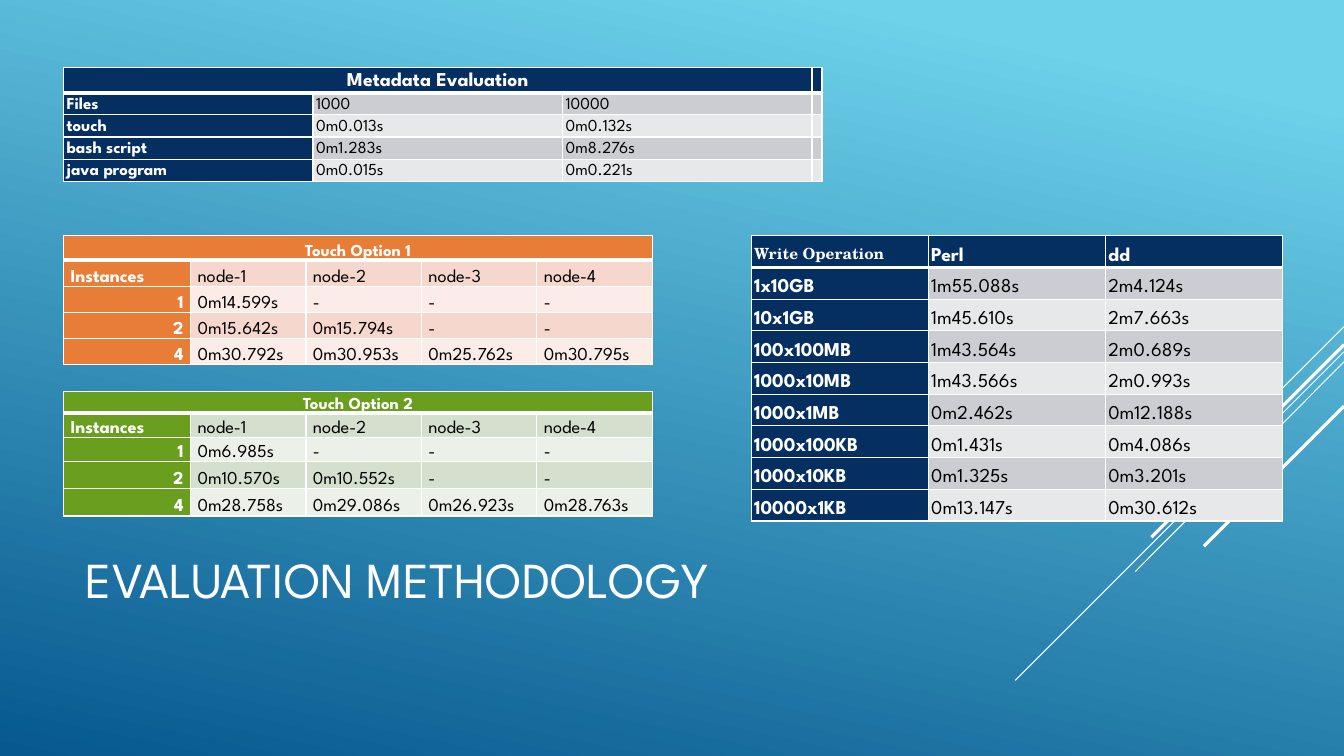
from dataclasses import dataclass

from lxml import etree
from pptx import Presentation
from pptx.dml.color import RGBColor
from pptx.enum.shapes import MSO_CONNECTOR
from pptx.enum.text import MSO_ANCHOR, PP_ALIGN
from pptx.oxml import parse_xml
from pptx.oxml.ns import nsdecls, qn
from pptx.util import Inches, Pt

STRAIGHT = MSO_CONNECTOR.STRAIGHT
MIDDLE, BOTTOM = MSO_ANCHOR.MIDDLE, MSO_ANCHOR.BOTTOM
LEFT, CENTER, RIGHT = PP_ALIGN.LEFT, PP_ALIGN.CENTER, PP_ALIGN.RIGHT


@dataclass(frozen=True)
class Theme:
    font: str = "League Spartan"
    serif: str = "TeX Gyre Schola"
    white: str = "FFFFFF"
    black: str = "000000"
    sky: str = "6ED2EB"
    deep: str = "06588E"
    # accent, odd row, even row
    navy: tuple = ("052F61", "CCCDD2", "E7E8EA")
    orange: tuple = ("E87D37", "F6D7CE", "FBECE8")
    green: tuple = ("6A9E1F", "D4DFCD", "EBF0E8")
    title: float = 36
    large: float = 14
    medium: float = 13
    small: float = 12
    caption: float = 11


THEME = Theme()


def style_cell(cell, fill, top, bottom, insets):
    """Fill a cell, set its margins and draw white borders; top and bottom are in points."""
    cell.vertical_anchor = BOTTOM
    cell.margin_left = cell.margin_right = Inches(insets[0])
    cell.margin_top = cell.margin_bottom = Inches(insets[1])
    properties = cell._tc.get_or_add_tcPr()
    for side, width in (("L", 1), ("R", 1), ("T", top), ("B", bottom)):
        properties.append(parse_xml(
            f'<a:ln{side} {nsdecls("a")} w="{Pt(width)}"><a:solidFill>'
            f'<a:srgbClr val="{THEME.white}"/></a:solidFill></a:ln{side}>'))
    cell.fill.solid()
    cell.fill.fore_color.rgb = RGBColor.from_string(fill)


def set_font(paragraph, size, color, bold=False, name=THEME.font):
    paragraph.font.name = name
    paragraph.font.size = Pt(size)
    paragraph.font.bold = bold
    paragraph.font.color.rgb = RGBColor.from_string(color)


presentation = Presentation()
presentation.slide_width = Inches(13.33)
presentation.slide_height = Inches(7.5)
slide = presentation.slides.add_slide(presentation.slide_layouts[5])

background = slide.background.fill
background.gradient()
background.gradient_angle = 360 - 102
for stop, position, color in zip(background.gradient_stops, (0.1, 1), (THEME.sky, THEME.deep)):
    stop.position = position
    stop.color.rgb = RGBColor.from_string(color)

# Diagonal lines from the right edge: start y, end x, end y, weight
for start_y, end_x, end_y, weight in (
    (3.24, 12.33, 4.24, 0.75),
    (3.49, 10.07, 6.75, 0.75),
    (3.59, 11.26, 5.67, 0.75),
    (3.42, 11.42, 5.33, 2.25),
    (4.03, 11.94, 5.42, 2.25),
):
    line = slide.shapes.add_connector(
        STRAIGHT, Inches(13.33), Inches(start_y), Inches(end_x), Inches(end_y))
    line.line.color.rgb = RGBColor.from_string(THEME.white)
    line.line.width = Pt(weight)
    etree.SubElement(line._element.spPr, qn("a:effectLst"))

title = slide.shapes.title
title.left, title.top, title.width, title.height = map(Inches, (0.75, 4.91, 9.33, 1.65))
title.text_frame.text = "EVALUATION METHODOLOGY"
title.text_frame.vertical_anchor = MIDDLE
title.text_frame.paragraphs[0].alignment = LEFT
set_font(title.text_frame.paragraphs[0], THEME.title, THEME.white)

NARROW, WIDE = (0.03, 0.02), (0.07, 0)
NODES = ("Instances", "node-1", "node-2", "node-3", "node-4")
NODE_COLUMNS = [1.26] + [1.145] * 4

# left, top, columns, rows, palette, insets, header size, body size, merged header columns, cells
tables = (
    (0.63, 0.67, [2.475] * 3 + [0.07], [0.25] + [0.22] * 4, THEME.navy, NARROW,
     THEME.large, THEME.small, 3, (
         ("Metadata Evaluation", "", "", ""),
         ("Files", "1000", "10000", ""),
         ("touch", "0m0.013s", "0m0.132s", ""),
         ("bash script", "0m1.283s", "0m8.276s", ""),
         ("java program", "0m0.015s", "0m0.221s", ""))),
    (0.63, 2.34, NODE_COLUMNS, [0.24] + [0.26] * 4, THEME.orange, WIDE,
     THEME.small, THEME.medium, 5, (
         ("Touch Option 1", "", "", "", ""),
         NODES,
         ("1", "0m14.599s", "-", "-", "-"),
         ("2", "0m15.642s", "0m15.794s", "-", "-"),
         ("4", "0m30.792s", "0m30.953s", "0m25.762s", "0m30.795s"))),
    (0.63, 3.88, NODE_COLUMNS, [0.22, 0.24, 0.24, 0.27, 0.27], THEME.green, WIDE,
     THEME.small, THEME.medium, 5, (
         ("Touch Option 2", "", "", "", ""),
         NODES,
         ("1", "0m6.985s", "-", "-", "-"),
         ("2", "0m10.570s", "0m10.552s", "-", "-"),
         ("4", "0m28.758s", "0m29.086s", "0m26.923s", "0m28.763s"))),
    (7.45, 2.34, [5.27 / 3] * 3, [2.83 / 9] * 9, THEME.navy, NARROW,
     THEME.large, THEME.large, 1, (
         ("Write Operation", "Perl", "dd"),
         ("1x10GB", "1m55.088s", "2m4.124s"),
         ("10x1GB", "1m45.610s", "2m7.663s"),
         ("100x100MB", "1m43.564s", "2m0.689s"),
         ("1000x10MB", "1m43.566s", "2m0.993s"),
         ("1000x1MB", "0m2.462s", "0m12.188s"),
         ("1000x100KB", "0m1.431s", "0m4.086s"),
         ("1000x10KB", "0m1.325s", "0m3.201s"),
         ("10000x1KB", "0m13.147s", "0m30.612s"))),
)

for (left, top, columns, rows, palette, insets,
     header_size, body_size, merged, cells) in tables:
    table = slide.shapes.add_table(
        len(rows), len(columns), Inches(left), Inches(top),
        Inches(sum(columns)), Inches(sum(rows))).table
    for column, width in zip(table.columns, columns):
        column.width = Inches(width)
    for row, height in zip(table.rows, rows):
        row.height = Inches(height)
    if merged > 1:
        table.cell(0, 0).merge(table.cell(0, merged - 1))

    accent, *bands = palette
    for row_index, texts in enumerate(cells):
        is_header = row_index == 0
        for column_index, text in enumerate(texts):
            cell = table.cell(row_index, column_index)
            emphasized = is_header or column_index == 0
            style_cell(cell, accent if emphasized else bands[(row_index - 1) % 2],
                       3 if row_index == 1 else 1, 3 if is_header else 1, insets)
            if not text:
                # Keeps an empty cell from stretching its row
                empty = cell.text_frame.paragraphs[0]
                empty._p.get_or_add_endParaRPr().set("sz", "600")
                continue
            cell.text = text
            paragraph = cell.text_frame.paragraphs[0]
            paragraph.line_spacing = 1.15
            set_font(paragraph, header_size if is_header else body_size,
                     THEME.white if emphasized else THEME.black, emphasized)
            if is_header and merged > 1:
                paragraph.alignment = CENTER
            elif column_index == 0 and text.isdigit():
                paragraph.alignment = RIGHT
    if merged == 1:
        set_font(table.cell(0, 0).text_frame.paragraphs[0],
                 THEME.caption, THEME.white, True, THEME.serif)

presentation.save("out.pptx")
